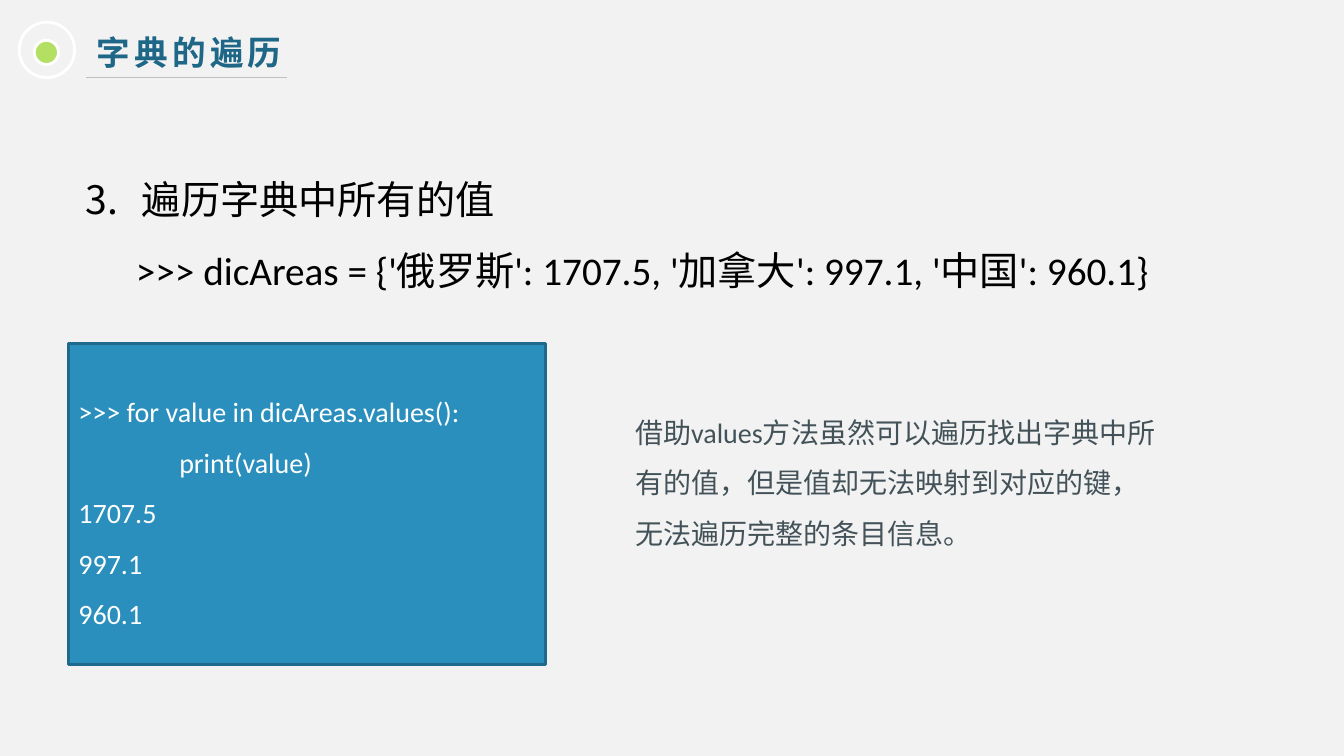
from lxml import etree
from pptx import Presentation
from pptx.dml.color import RGBColor
from pptx.enum.shapes import MSO_CONNECTOR, MSO_SHAPE
from pptx.enum.text import MSO_ANCHOR, PP_ALIGN
from pptx.oxml.ns import qn
from pptx.util import Inches, Pt

RECTANGLE, OVAL = MSO_SHAPE.RECTANGLE, MSO_SHAPE.OVAL
STRAIGHT = MSO_CONNECTOR.STRAIGHT
TOP, MIDDLE = MSO_ANCHOR.TOP, MSO_ANCHOR.MIDDLE
LEFT = PP_ALIGN.LEFT

# Content: each line is (text, left indent in inches)
TITLE = [("字典的遍历", 0)]
TOPIC = [
    ("遍历字典中所有的值", 0.56),
    (">>> dicAreas = {'俄罗斯': 1707.5, '加拿大': 997.1, '中国': 960.1}", 0.5),
]
CODE = [
    (">>> for value in dicAreas.values():", 0),
    ("print(value)", 1),
    ("1707.5", 0),
    ("997.1", 0),
    ("960.1", 0),
]
REMARK = [("借助values方法虽然可以遍历找出字典中所有的值，但是值却无法映射到对应的键，无法遍历完整的条目信息。", 0)]

COLORS = {
    "background": "F2F2F2", "title": "1E6787", "dot": "B3DF63", "white": "FFFFFF",
    "rule": "BFBFBF", "topic": "000000", "panel": "2A8FBD", "panel_edge": "1F6A8C",
    "remark": "435258",
}
BODY_FONT, CJK_FONT = "Calibri", "Noto Sans CJK SC"


def color(name):
    return RGBColor.from_string(COLORS[name])


def add_figure(page, kind, area, fill, edge):
    figure = page.shapes.add_shape(kind, *map(Inches, area))
    figure.shadow.inherit = False
    if fill:
        figure.fill.solid()
        figure.fill.fore_color.rgb = color(fill)
    else:
        figure.fill.background()
    figure.line.color.rgb = color(edge)
    figure.line.width = Pt(2)
    return figure


def write(box, lines, size, ink, font=BODY_FONT, spacing=1.5, anchor=TOP):
    frame = box.text_frame
    frame.word_wrap = True
    frame.vertical_anchor = anchor
    for number, (text, indent) in enumerate(lines):
        para = frame.add_paragraph() if number else frame.paragraphs[0]
        para.alignment = LEFT
        para.line_spacing = spacing
        para.font.name = font
        para.font.size = Pt(size)
        para.font.color.rgb = color(ink)
        span = para.add_run()
        span.text = text
        etree.SubElement(span.font._element, qn("a:ea"), typeface=CJK_FONT)
        if indent:
            para._p.get_or_add_pPr().set("marL", str(Inches(indent)))
    return frame.paragraphs


def add_text(page, area, *args, **options):
    return write(page.shapes.add_textbox(*map(Inches, area)), *args, **options)


deck = Presentation()
deck.slide_width, deck.slide_height = Inches(13.33), Inches(7.5)
page = deck.slides.add_slide(deck.slide_layouts[6])
page.background.fill.solid()
page.background.fill.fore_color.rgb = color("background")

# Heading with ringed dot and rule
heading = add_text(page, (0.86, 0.27, 6.45, 0.5), TITLE, 24, "title",
                   font=CJK_FONT, spacing=1.0)[0]
heading.font.bold = True
heading.runs[0].font._element.set("spc", "300")
add_figure(page, OVAL, (0.34, 0.4, 0.24, 0.24), "dot", "white")
add_figure(page, OVAL, (0.19, 0.22, 0.55, 0.55), None, "white")
rule = page.shapes.add_connector(STRAIGHT, *map(Inches, (0.85, 0.77, 2.85, 0.77)))
rule.line.color.rgb = color("rule")
rule.line.width = Pt(0.75)
etree.SubElement(rule._element.spPr, qn("a:effectLst"))

# Numbered topic and its dictionary
topic, dictionary = add_text(page, (0.75, 1.46, 11.45, 1.44), TOPIC, 28, "topic")
dictionary.level = 1
topic_format = topic._p.get_or_add_pPr()
topic_format.set("indent", str(-Inches(0.56)))
numbering = etree.Element(qn("a:buAutoNum"), type="arabicPeriod", startAt="3")
topic_format.find(qn("a:defRPr")).addprevious(numbering)

# Code panel
panel = add_figure(page, RECTANGLE, (0.68, 3.41, 4.73, 3.18), "panel", "panel_edge")
write(panel, CODE, 20, "white", anchor=MIDDLE)

# Remark
add_text(page, (6.2, 4.05, 5.46, 1.31), REMARK, 20, "remark", anchor=MIDDLE)

deck.save("out.pptx")
